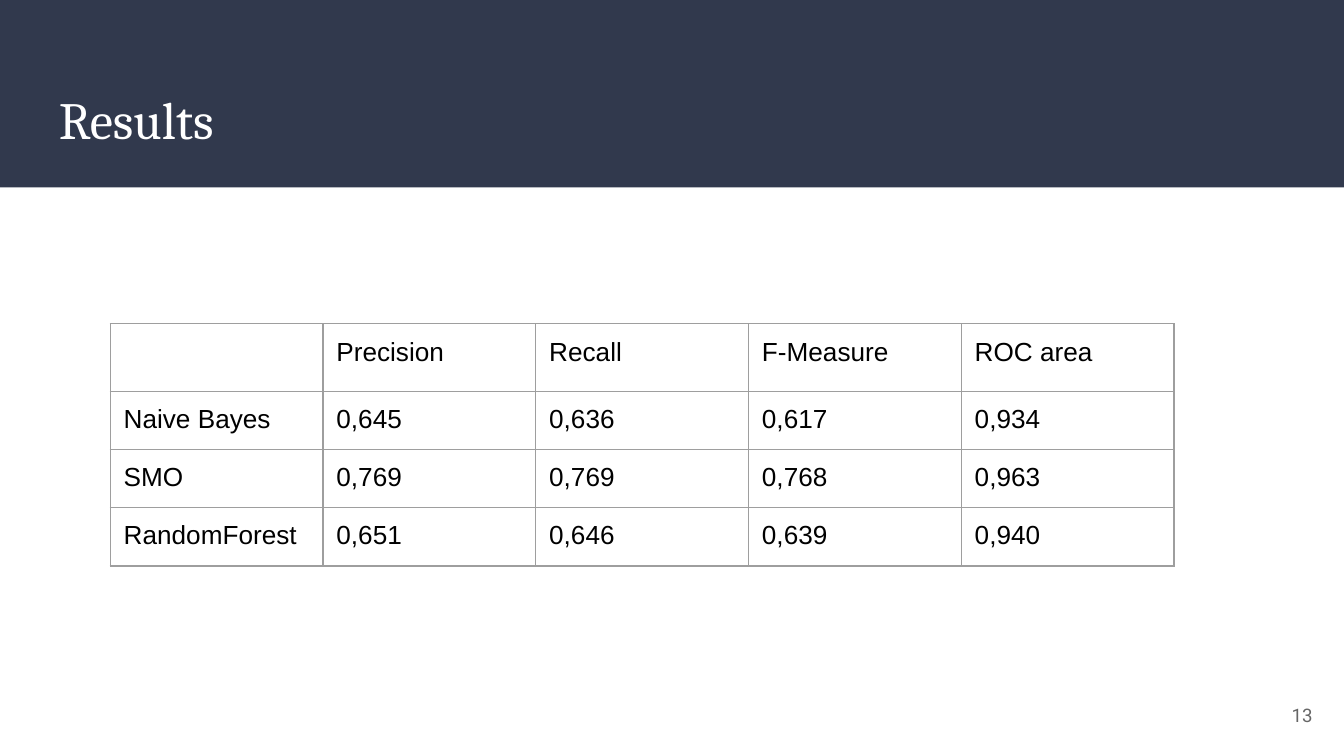
from typing import NamedTuple

from lxml import etree
from pptx import Presentation
from pptx.dml.color import RGBColor
from pptx.enum.shapes import MSO_SHAPE
from pptx.enum.text import MSO_ANCHOR, PP_ALIGN
from pptx.oxml.ns import qn
from pptx.util import Inches, Pt

RECTANGLE = MSO_SHAPE.RECTANGLE
TOP, MIDDLE = MSO_ANCHOR.TOP, MSO_ANCHOR.MIDDLE
LEFT, RIGHT = PP_ALIGN.LEFT, PP_ALIGN.RIGHT

NAVY = RGBColor(0x31, 0x39, 0x4D)
WHITE = RGBColor(0xFF, 0xFF, 0xFF)
BLACK = RGBColor(0x00, 0x00, 0x00)
GRAY = RGBColor(0x66, 0x66, 0x66)
BORDER = RGBColor(0x9E, 0x9E, 0x9E)

PAGE_WIDTH = Inches(10)
PAGE_HEIGHT = PAGE_WIDTH * 9 // 16
INSET = Inches(0.1)
COLUMN_WIDTH, ROW_HEIGHT = Pt(114), Pt(30)
BORDER_WIDTH = Pt(0.75)
TABLE_FONT, TABLE_SIZE, EMPTY_SIZE = "Arial", 14, 18


class Area(NamedTuple):
    """A rectangle in shares of the slide's width and height."""
    left: float
    top: float
    width: float
    height: float

    def lengths(self) -> tuple[int, int, int, int]:
        return (int(self.left * PAGE_WIDTH), int(self.top * PAGE_HEIGHT),
                int(self.width * PAGE_WIDTH), int(self.height * PAGE_HEIGHT))


class Result(NamedTuple):
    """One row of the table: a classifier and its scores."""
    name: str
    precision: str
    recall: str
    f_measure: str
    roc_area: str


BAND = Area(0, 0, 1, 0.248)
TITLE = Area(0.034, 0.098, 0.932, 0.121)
PAGE_NUMBER = Area(0.9265, 0.907, 0.06, 0.077)
TABLE_LEFT, TABLE_TOP = Inches(0.82), Inches(2.41)

ROWS = [
    Result("", "Precision", "Recall", "F-Measure", "ROC area"),
    Result("Naive Bayes", "0,645", "0,636", "0,617", "0,934"),
    Result("SMO", "0,769", "0,769", "0,768", "0,963"),
    Result("RandomForest", "0,651", "0,646", "0,639", "0,940"),
]


def write(frame, text: str, *, font: str, size: float, color: RGBColor,
          align=LEFT) -> None:
    para = frame.paragraphs[0]
    para.alignment = align
    span = para.add_run()
    span.text = text
    span.font.name = font
    span.font.size = Pt(size)
    span.font.color.rgb = color


def add_text(page, area: Area, text: str, *, anchor=TOP, **style) -> None:
    frame = page.shapes.add_textbox(*area.lengths()).text_frame
    frame.word_wrap = True
    frame.vertical_anchor = anchor
    frame.margin_left = frame.margin_right = INSET
    frame.margin_top = frame.margin_bottom = INSET
    write(frame, text, **style)


def add_band(page, area: Area) -> None:
    band = page.shapes.add_shape(RECTANGLE, *area.lengths())
    band.shadow.inherit = False
    band.fill.solid()
    band.fill.fore_color.rgb = NAVY
    band.line.fill.background()


def set_borders(cell) -> None:
    properties = cell._tc.get_or_add_tcPr()
    # Borders come before the fill in the cell's properties
    for position, side in enumerate(("a:lnL", "a:lnR", "a:lnT", "a:lnB")):
        line = etree.Element(qn(side), w=str(BORDER_WIDTH))
        fill = etree.SubElement(line, qn("a:solidFill"))
        etree.SubElement(fill, qn("a:srgbClr"), val=str(BORDER))
        properties.insert(position, line)


def set_end_font(para, font: str, size: int) -> None:
    """The font of the paragraph's end mark sets the least row height."""
    end = etree.SubElement(para._p, qn("a:endParaRPr"), sz=str(size * 100))
    etree.SubElement(end, qn("a:latin"), typeface=font)


def fill_cell(cell, text: str) -> None:
    cell.margin_left = cell.margin_right = INSET
    cell.margin_top = cell.margin_bottom = INSET
    cell.fill.background()
    set_borders(cell)
    if text:
        write(cell.text_frame, text, font=TABLE_FONT, size=TABLE_SIZE, color=BLACK)
    set_end_font(cell.text_frame.paragraphs[0], TABLE_FONT,
                 TABLE_SIZE if text else EMPTY_SIZE)


def add_results(page, rows: list[Result]) -> None:
    column_count = len(Result._fields)
    table = page.shapes.add_table(
        len(rows), column_count, TABLE_LEFT, TABLE_TOP,
        COLUMN_WIDTH * column_count, ROW_HEIGHT * len(rows)).table
    table.first_row = table.horz_banding = False
    for column in table.columns:
        column.width = COLUMN_WIDTH
    for row, result in zip(table.rows, rows):
        row.height = ROW_HEIGHT
        for cell, text in zip(row.cells, result):
            fill_cell(cell, text)


def main() -> None:
    deck = Presentation()
    deck.slide_width, deck.slide_height = PAGE_WIDTH, PAGE_HEIGHT
    page = deck.slides.add_slide(deck.slide_layouts[6])
    page.background.fill.solid()
    page.background.fill.fore_color.rgb = WHITE

    # Header band with title
    add_band(page, BAND)
    add_text(page, TITLE, "Results", font="Cambria", size=28, color=WHITE)

    # Page number
    add_text(page, PAGE_NUMBER, "13", font="Roboto", size=10, color=GRAY,
             align=RIGHT, anchor=MIDDLE)

    # Classifier scores
    add_results(page, ROWS)

    deck.save("out.pptx")


if __name__ == "__main__":
    main()
